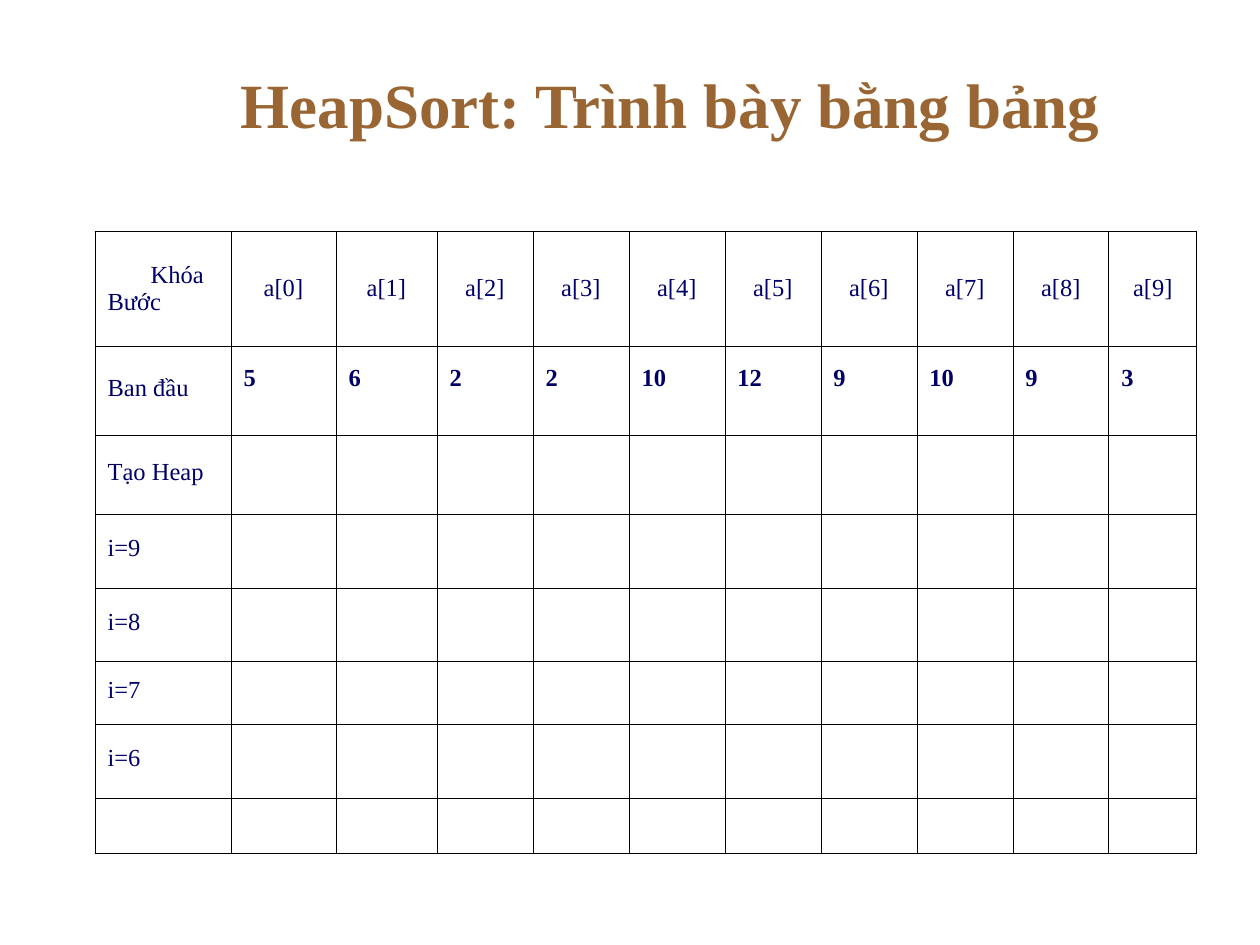
from dataclasses import dataclass

from lxml.etree import SubElement
from pptx import Presentation
from pptx.dml.color import RGBColor
from pptx.enum.text import MSO_ANCHOR, MSO_AUTO_SIZE, PP_ALIGN
from pptx.oxml.ns import qn
from pptx.util import Emu, Pt


@dataclass(frozen=True)
class Theme:
    face: str = "Times New Roman"
    brown: str = "996633"
    navy: str = "000066"
    black: str = "000000"
    head: int = 36
    body: int = 14
    rule: float = 0.45


def px(n):
    return Emu(round(n * 914400 / 126))


def put(obj, vals):
    for key, val in vals.items():
        setattr(obj, key, val)


class Deck:
    def __init__(self, theme):
        self.theme = theme
        self.prs = Presentation()
        put(self.prs, {"slide_width": px(1260), "slide_height": px(945)})
        self.slide = self.prs.slides.add_slide(self.prs.slide_layouts[5])

    def style(self, para, size, tint, bold=False):
        for run in para.runs:
            put(run.font, {"name": self.theme.face, "size": Pt(size), "bold": bold})
            run.font.color.rgb = RGBColor.from_string(tint)

    def title(self, text, left, top, width, height):
        shape = self.slide.shapes.title
        put(shape, {"left": px(left), "top": px(top),
                    "width": px(width), "height": px(height)})
        frame = shape.text_frame
        put(frame, {"text": text, "word_wrap": True,
                    "auto_size": MSO_AUTO_SIZE.NONE,
                    "vertical_anchor": MSO_ANCHOR.MIDDLE})
        para = frame.paragraphs[0]
        para.alignment = PP_ALIGN.CENTER
        self.style(para, self.theme.head, self.theme.brown, True)

    def grid(self, left, top, cols, rows):
        """Add an empty ruled table with the given column and row sizes."""
        table = self.slide.shapes.add_table(
            len(rows), len(cols), px(left), px(top),
            px(sum(cols)), px(sum(rows))).table
        put(table, {"first_row": False, "horz_banding": False})
        for col, width in zip(table.columns, cols):
            col.width = px(width)
        for row, height in zip(table.rows, rows):
            row.height = px(height)
        for cell in table.iter_cells():
            cell.vertical_anchor = MSO_ANCHOR.MIDDLE
            self.edge(cell)
            cell.fill.background()
        return table

    def edge(self, cell):
        """Rule all four sides of a cell."""
        props = cell._tc.get_or_add_tcPr()
        for side in ("lnL", "lnR", "lnT", "lnB"):
            line = SubElement(props, qn(f"a:{side}"), w=str(Pt(self.theme.rule)))
            fill = SubElement(line, qn("a:solidFill"))
            SubElement(fill, qn("a:srgbClr"), val=self.theme.black)

    def cell(self, cell, text, bold=False, **form):
        cell.text = text
        para = cell.text_frame.paragraphs[0]
        put(para, form)
        self.style(para, self.theme.body, self.theme.navy, bold)
        return para

    def save(self):
        self.prs.save("out.pptx")


def main():
    deck = Deck(Theme())
    deck.title("HeapSort: Trình bày bằng bảng ", 158, 38, 1040, 130)

    cols = [136, 105, 101] + [96] * 7 + [88]
    rows = [115, 89, 79, 74, 73, 63, 74, 56]
    table = deck.grid(95, 231, cols, rows)

    # The key name is indented, the step name starts at the margin.
    corner = deck.cell(table.cell(0, 0), "Khóa\vBước")
    put(corner, {"alignment": PP_ALIGN.LEFT})
    corner._p.get_or_add_pPr().set("indent", str(px(43)))

    steps = ["Ban đầu", "Tạo Heap"] + [f"i={i}" for i in range(9, 5, -1)]
    for r, step in enumerate(steps, 1):
        deck.cell(table.cell(r, 0), step, line_spacing=0.7)

    keys = [5, 6, 2, 2, 10, 12, 9, 10, 9, 3]
    for i, key in enumerate(keys):
        deck.cell(table.cell(0, i + 1), f"a[{i}]", alignment=PP_ALIGN.CENTER)
        start = table.cell(1, i + 1)
        start.margin_bottom = px(26)
        deck.cell(start, str(key), bold=True, line_spacing=0.7)

    deck.save()


if __name__ == "__main__":
    main()
